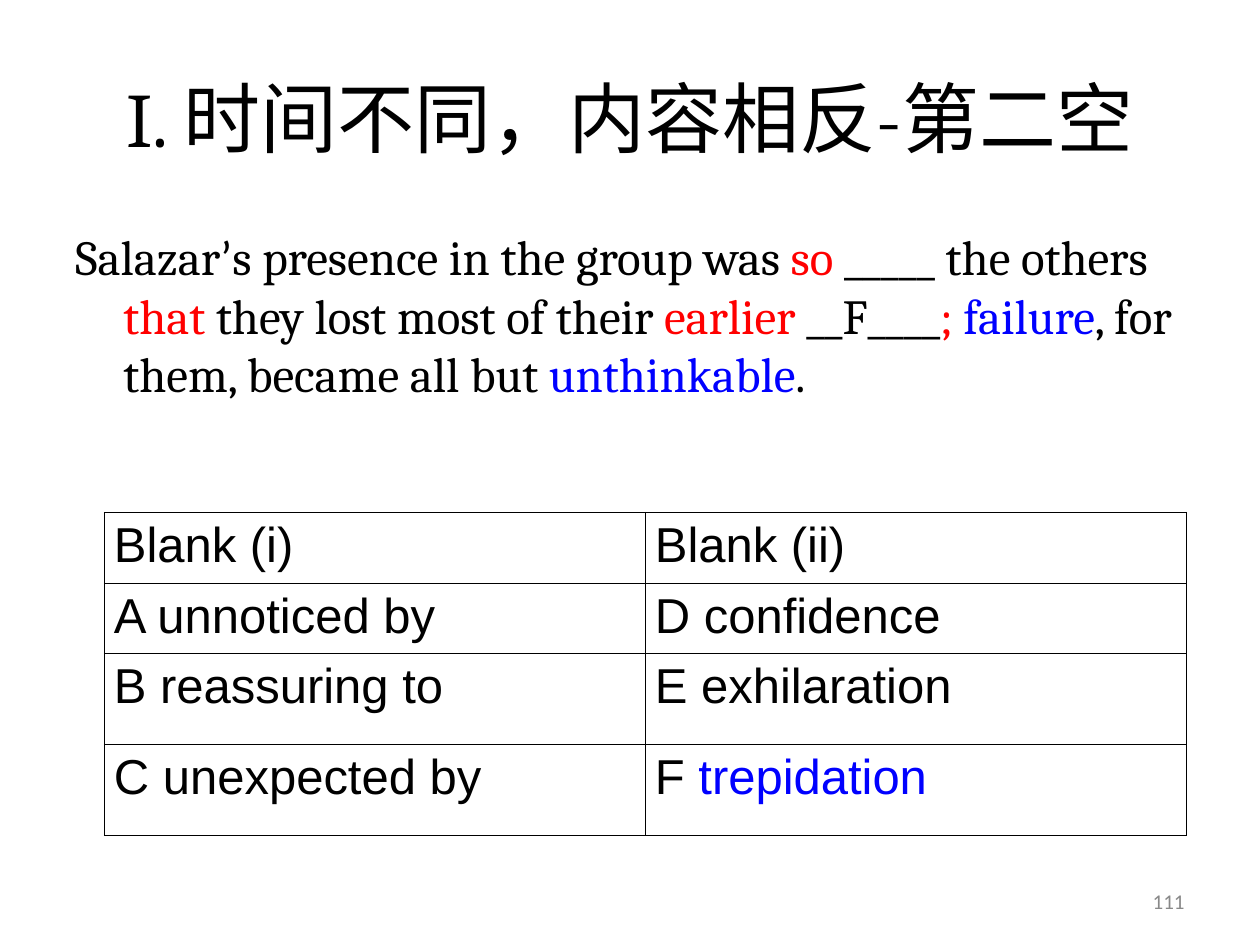
import pptx
import pptx.dml.color
import pptx.enum.text
import pptx.oxml
import pptx.oxml.ns
import pptx.util
from lxml import etree

RGB = pptx.dml.color.RGBColor
BLACK = RGB(0x00, 0x00, 0x00)
RED = RGB(0xFF, 0x00, 0x00)
BLUE = RGB(0x00, 0x00, 0xFF)
GRAY = RGB(0x89, 0x89, 0x89)
ALIGN = pptx.enum.text.PP_ALIGN
ANCHOR = pptx.enum.text.MSO_ANCHOR
PX = 914400 / 126

TITLE = [("I. 时间不同，内容相反-第二空", BLACK)]
NUMBER = [("111", GRAY)]
SENTENCE = [
    ("Salazar", BLACK),
    ("’", BLACK, "Calibri"),
    ("s presence in the group was", BLACK),
    (" so ", RED),
    ("_____ the others", BLACK),
    (" that", RED),
    (" they lost most of their ", BLACK),
    ("earlier", RED),
    (" __F____", BLACK),
    ("; ", RED),
    ("failure", BLUE),
    (", for them, became all but ", BLACK),
    ("unthinkable", BLUE),
    (".", BLACK),
]
CHOICES = [
    ([("Blank (i)", BLACK)], [("Blank (ii)", BLACK)]),
    ([("A unnoticed by", BLACK)], [("D confidence", BLACK)]),
    ([("B reassuring to", BLACK)], [("E exhilaration", BLACK)]),
    ([("C unexpected by", BLACK)], [("F ", BLACK), ("trepidation", BLUE)]),
]
ROW_HEIGHTS = [68, 67, 91, 91]
COL_WIDTH = 541


def px(n):
    return pptx.util.Emu(round(n * PX))


def add_runs(p, runs, size, font, align):
    p.alignment = align
    for text, color, *other in runs:
        r = p.add_run()
        r.text = text
        r.font.size = pptx.util.Pt(size)
        r.font.name = other[0] if other else font
        r.font.color.rgb = color


def add_text(s, box, runs, size, font, align, anchor):
    tf = s.shapes.add_textbox(*map(px, box)).text_frame
    tf.word_wrap = True
    tf.vertical_anchor = anchor
    add_runs(tf.paragraphs[0], runs, size, font, align)
    return tf.paragraphs[0]


def add_borders(cell):
    tcPr = cell._tc.get_or_add_tcPr()
    for i, side in enumerate(("lnL", "lnR", "lnT", "lnB")):
        ln = pptx.oxml.parse_xml(
            f'<a:{side} {pptx.oxml.ns.nsdecls("a")} w="1400"><a:solidFill>'
            f'<a:srgbClr val="{BLACK}"/></a:solidFill></a:{side}>')
        tcPr.insert(i, ln)


def add_choices(s):
    frame = s.shapes.add_table(len(CHOICES), 2, px(104), px(512),
                               px(2 * COL_WIDTH), px(sum(ROW_HEIGHTS)))
    table = frame.table
    table.first_row = table.horz_banding = False
    for col in table.columns:
        col.width = px(COL_WIDTH)
    for row, height, texts in zip(table.rows, ROW_HEIGHTS, CHOICES):
        row.height = px(height)
        for cell, runs in zip(row.cells, texts):
            cell.fill.background()
            cell.margin_left = cell.margin_right = px(10)
            cell.margin_top = cell.margin_bottom = px(6)
            add_runs(cell.text_frame.paragraphs[0], runs, 28, "Arial", ALIGN.JUSTIFY)
            add_borders(cell)


def main():
    prs = pptx.Presentation()
    prs.slide_width, prs.slide_height = px(1260), px(945)
    s = prs.slides.add_slide(prs.slide_layouts[6])
    add_text(s, (903, 876, 294, 50), NUMBER, 12, "Calibri", ALIGN.RIGHT, ANCHOR.MIDDLE)
    p = add_text(s, (63, 220, 1163, 624), SENTENCE, 28, "Cambria", ALIGN.LEFT, ANCHOR.TOP)
    pPr = p._p.get_or_add_pPr()
    pPr.set("marL", str(px(48)))
    pPr.set("indent", str(-px(48)))
    etree.SubElement(pPr, pptx.oxml.ns.qn("a:buNone"))
    add_text(s, (63, 38, 1134, 158), TITLE, 44, "Cambria", ALIGN.CENTER, ANCHOR.MIDDLE)
    add_choices(s)
    prs.save("out.pptx")


if __name__ == "__main__":
    main()
